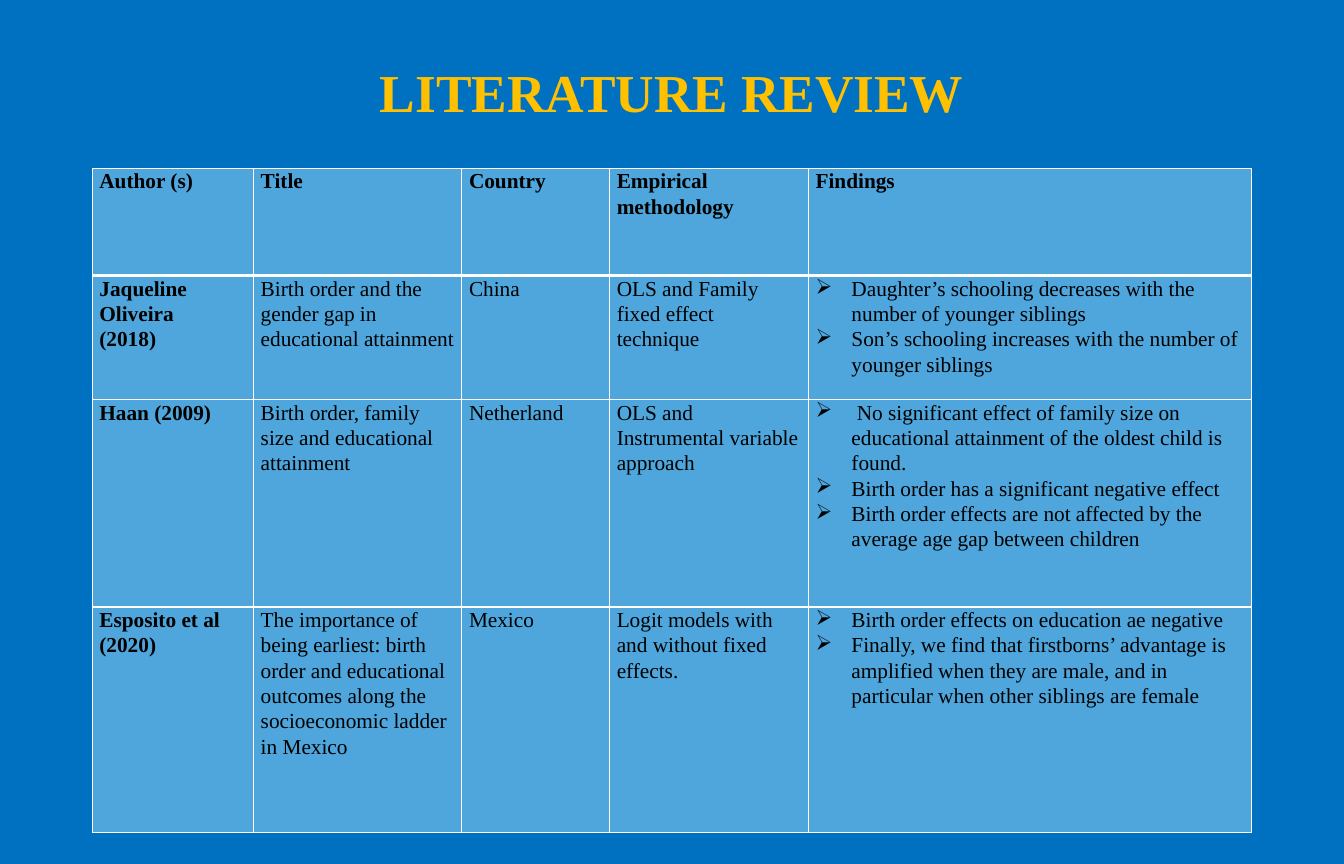
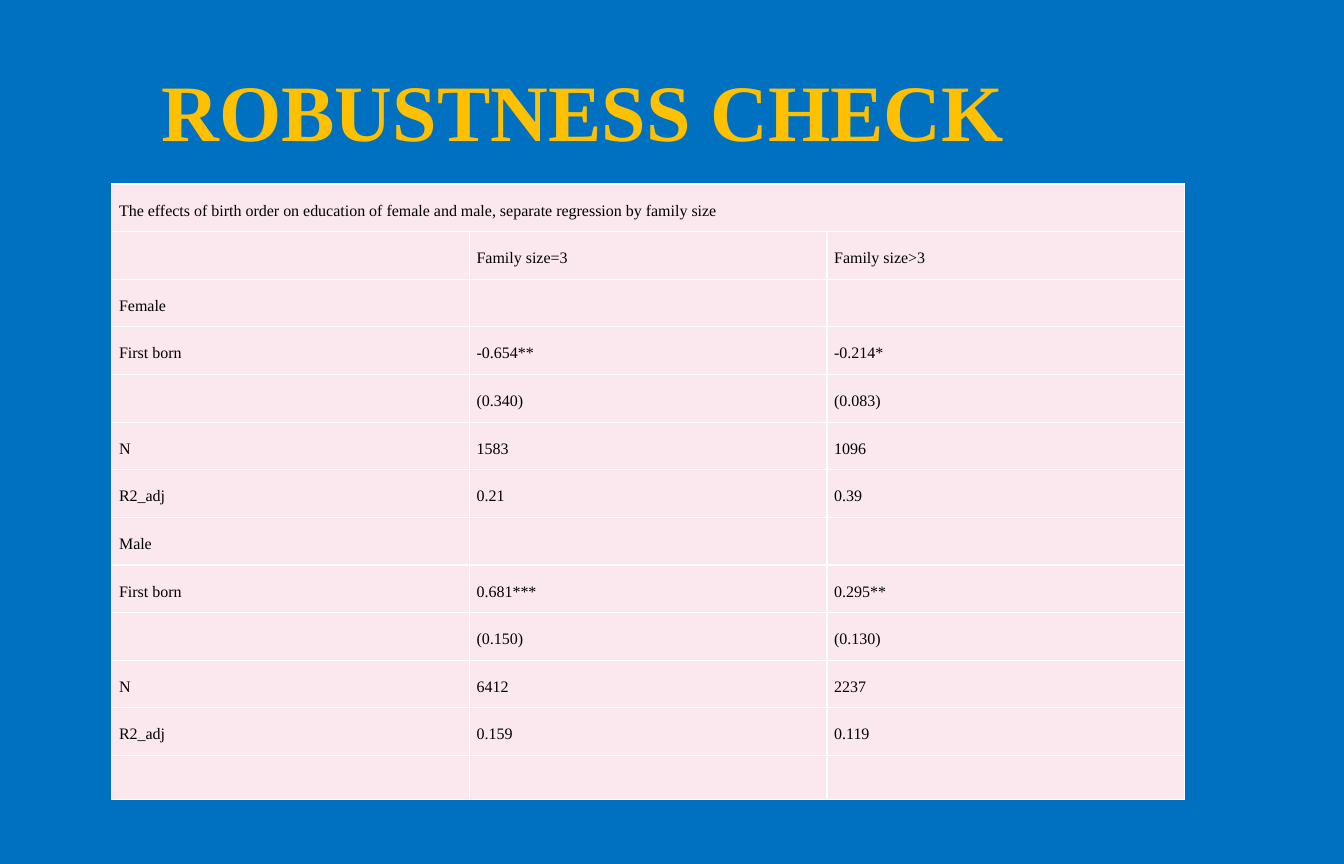
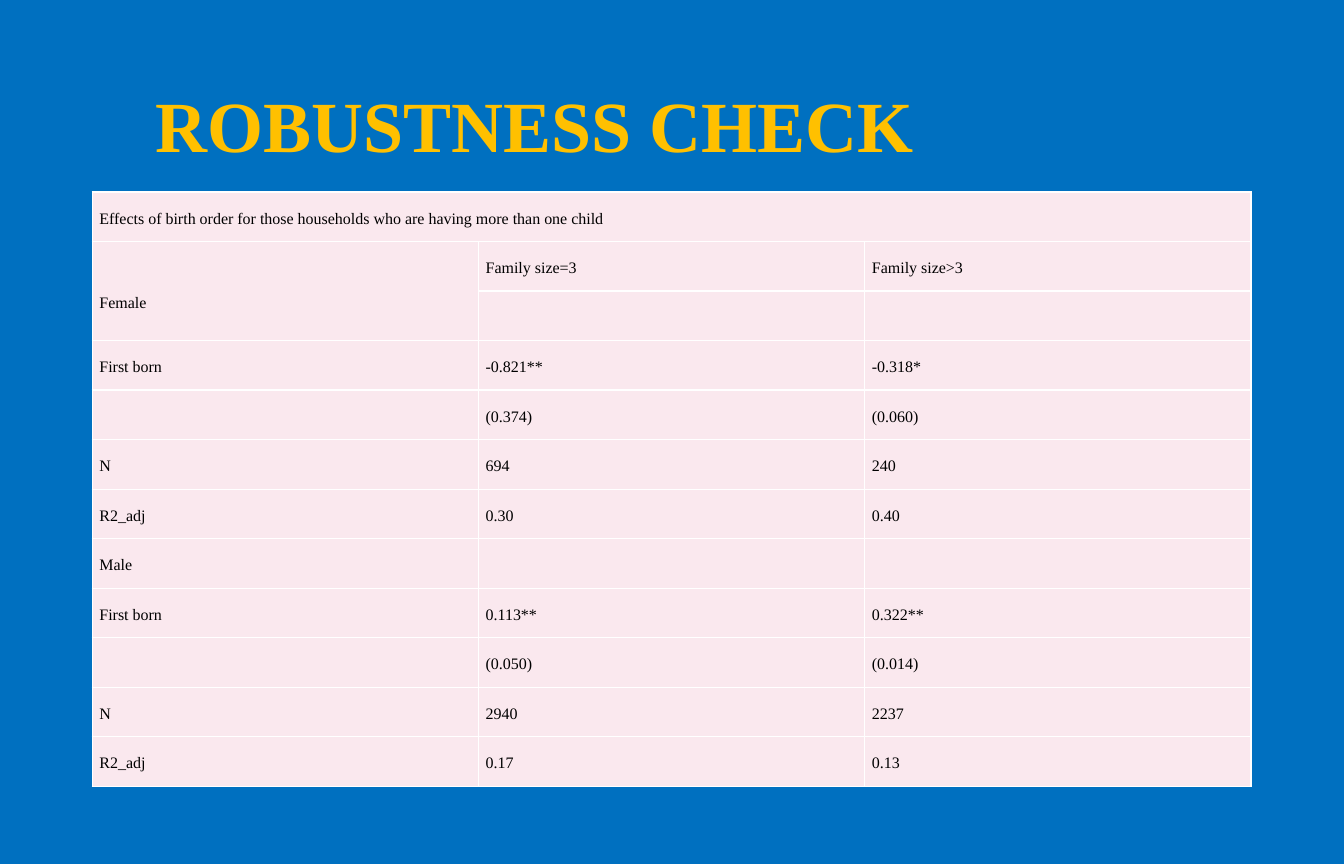
from lxml.etree import SubElement
from pptx import Presentation
from pptx.dml.color import RGBColor
from pptx.enum.text import MSO_ANCHOR as ANCHOR, PP_ALIGN as ALIGN
from pptx.oxml.ns import qn
from pptx.util import Cm, Pt

COLORS = {
    "back": "0070C0",
    "title": "FFC000",
    "text": "000000",
    "line": "FFFFFF",
    "review": "4EA6DC",
    "result": "FAE8EE",
}
FONT = "Times New Roman"
LEFT, WIDTH = 2.44, 30.67
BULLET_INDENT = 0.95


def rgb(name):
    return RGBColor.from_string(COLORS[name])


def write_text(tf, text, size=12, color="text", bold=False, align=ALIGN.LEFT,
               spacing=1.0, bullet=None):
    for i, line in enumerate(text.split("\n")):
        p = tf.add_paragraph() if i else tf.paragraphs[0]
        p.alignment = align
        p.line_spacing = spacing
        r = p.add_run()
        r.text = line
        r.font.name = FONT
        r.font.size = Pt(size)
        r.font.bold = bold
        r.font.color.rgb = rgb(color)
        if bullet:
            pPr = p._p.get_or_add_pPr()
            pPr.set("marL", str(Cm(BULLET_INDENT)))
            pPr.set("indent", str(-Cm(BULLET_INDENT)))
            SubElement(pPr, qn("a:buChar")).set("char", bullet)


def set_borders(cell, **widths):
    tcPr = cell._tc.get_or_add_tcPr()
    for side in "LRTB":
        ln = SubElement(tcPr, qn(f"a:ln{side}"), w=str(Pt(widths.get(side, 1))))
        fill = SubElement(ln, qn("a:solidFill"))
        SubElement(fill, qn("a:srgbClr"), val=COLORS["line"])


class Deck:
    def __init__(self, width, height):
        self.prs = Presentation()
        self.prs.slide_width = Cm(width)
        self.prs.slide_height = Cm(height)
        self.slide = None

    def add_slide(self):
        self.slide = self.prs.slides.add_slide(self.prs.slide_layouts[6])
        fill = self.slide.background.fill
        fill.solid()
        fill.fore_color.rgb = rgb("back")

    def add_title(self, text, height, size, indent=0.0, align=ALIGN.LEFT):
        sp = self.slide.shapes.add_textbox(Cm(LEFT), Cm(1.22), Cm(WIDTH), Cm(height))
        tf = sp.text_frame
        tf.word_wrap = True
        tf.vertical_anchor = ANCHOR.MIDDLE
        tf.margin_left = Cm(0.25 + indent)
        write_text(tf, text, size=size, color="title", bold=True, align=align, spacing=0.9)

    def add_grid(self, left, top, cols, rows, fill):
        frame = self.slide.shapes.add_table(
            len(rows), len(cols), Cm(left), Cm(top), Cm(sum(cols)), Cm(sum(rows)))
        table = frame.table
        table.first_row = table.horz_banding = False
        for col, width in zip(table.columns, cols):
            col.width = Cm(width)
        for row, height in zip(table.rows, rows):
            row.height = Cm(height)
        for cell in table.iter_cells():
            cell.margin_left = cell.margin_right = Cm(0.19)
            cell.margin_top = cell.margin_bottom = 0
            cell.fill.solid()
            cell.fill.fore_color.rgb = rgb(fill)
        return table

    def add_review_table(self, top, cols, rows, data):
        table = self.add_grid(LEFT, top, cols, rows, "review")
        for i, line in enumerate(data):
            for j, text in enumerate(line):
                cell = table.cell(i, j)
                cell.fill.background()
                tcPr = cell._tc.get_or_add_tcPr()
                for child in list(tcPr):
                    tcPr.remove(child)
                set_borders(cell, T=3 if i == 1 else 1, B=3 if i == 0 else 1)
                cell.fill.solid()
                cell.fill.fore_color.rgb = rgb("review")
                listed = i > 0 and j == len(cols) - 1
                write_text(cell.text_frame, text, size=16, bold=i == 0 or j == 0,
                           spacing=1.07, bullet="➢" if listed else None)

    def add_result_table(self, left, top, cols, rows, data, tall_label=False):
        table = self.add_grid(left, top, cols, rows, "result")
        table.cell(0, 0).merge(table.cell(0, len(cols) - 1))
        if tall_label:
            table.cell(1, 0).merge(table.cell(2, 0))
            table.cell(1, 0).margin_top = Cm(0.93)
        for cell in table.iter_cells():
            tcPr = cell._tc.get_or_add_tcPr()
            for child in list(tcPr):
                tcPr.remove(child)
            set_borders(cell)
            cell.fill.solid()
            cell.fill.fore_color.rgb = rgb("result")
        for i, line in enumerate(data):
            for j, text in enumerate(line):
                if text:
                    write_text(table.cell(i, j).text_frame, text,
                               align=ALIGN.JUSTIFY, spacing=2.0)


REVIEW = [
    ("Author (s)", "Title", "Country", "Empirical methodology", "Findings"),
    ("Jaqueline Oliveira\n(2018)",
     "Birth order and the gender gap in educational attainment",
     "China",
     "OLS and Family fixed effect technique",
     "Daughter’s schooling decreases with the number of younger siblings\n"
     "Son’s schooling increases with the number of younger siblings"),
    ("Haan (2009)",
     "Birth order, family size and educational attainment",
     "Netherland",
     "OLS and Instrumental variable approach",
     " No significant effect of family size on educational attainment of the "
     "oldest child is found.\n"
     "Birth order has a significant negative effect\n"
     "Birth order effects are not affected by the average age gap between children"),
    ("Esposito et al (2020)",
     "The importance of being earliest: birth order and educational outcomes "
     "along the socioeconomic ladder in Mexico",
     "Mexico",
     "Logit models with and without fixed effects.",
     "Birth order effects on education ae negative\n"
     "Finally, we find that firstborns’ advantage is amplified when they are male, "
     "and in particular when other siblings are female"),
]
SIZES = ("", "Family size=3", "Family size>3")
MEASURES = ("First born", "", "N", "R2_adj")


def with_labels(*pairs):
    return [(label, *pair) for label, pair in zip(MEASURES, pairs)]


BY_FAMILY_SIZE = [
    ("The effects of birth order on education of female and male, "
     "separate regression by family size",),
    SIZES,
    ("Female",),
    *with_labels(("-0.654**", "-0.214*"), ("(0.340)", "(0.083)"),
                 ("1583", "1096"), ("0.21", "0.39")),
    ("Male",),
    *with_labels(("0.681***", "0.295**"), ("(0.150)", "(0.130)"),
                 ("6412", "2237"), ("0.159", "0.119")),
]
SEVERAL_CHILDREN = [
    ("Effects of birth order for those households who are having more than one child",),
    ("Female", *SIZES[1:]),
    (),
    *with_labels(("-0.821**", "-0.318*"), ("(0.374)", "(0.060)"),
                 ("694", "240"), ("0.30", "0.40")),
    ("Male",),
    *with_labels(("0.113**", "0.322**"), ("(0.050)", "(0.014)"),
                 ("2940", "2237"), ("0.17", "0.13")),
]


def main():
    deck = Deck(35.56, 22.86)

    deck.add_slide()
    deck.add_title("LITERATURE REVIEW", 2.59, 40, align=ALIGN.CENTER)
    deck.add_review_table(4.45, [4.27, 5.51, 3.91, 5.26, 11.73],
                          [2.84, 3.28, 5.49, 5.97], REVIEW)

    deck.add_slide()
    deck.add_title("ROBUSTNESS CHECK", 3.66, 60, indent=1.59)
    deck.add_result_table(2.96, 4.87, [9.46] * 3, [1.26] * 12 + [1.17], BY_FAMILY_SIZE)

    deck.add_slide()
    deck.add_title("ROBUSTNESS CHECK", 4.42, 54, indent=1.43)
    deck.add_result_table(LEFT, 5.08, [10.22] * 3, [1.31] * 12, SEVERAL_CHILDREN,
                          tall_label=True)

    deck.prs.save("out.pptx")


if __name__ == "__main__":
    main()
